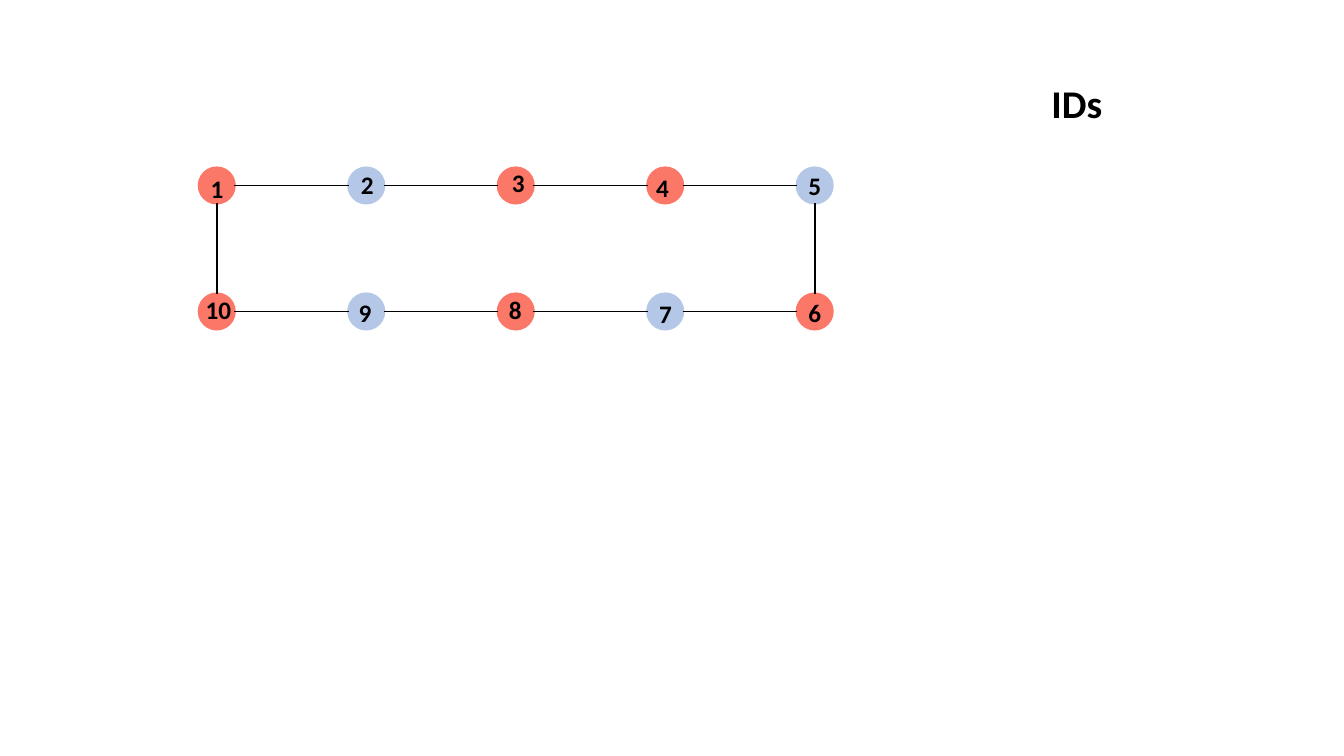
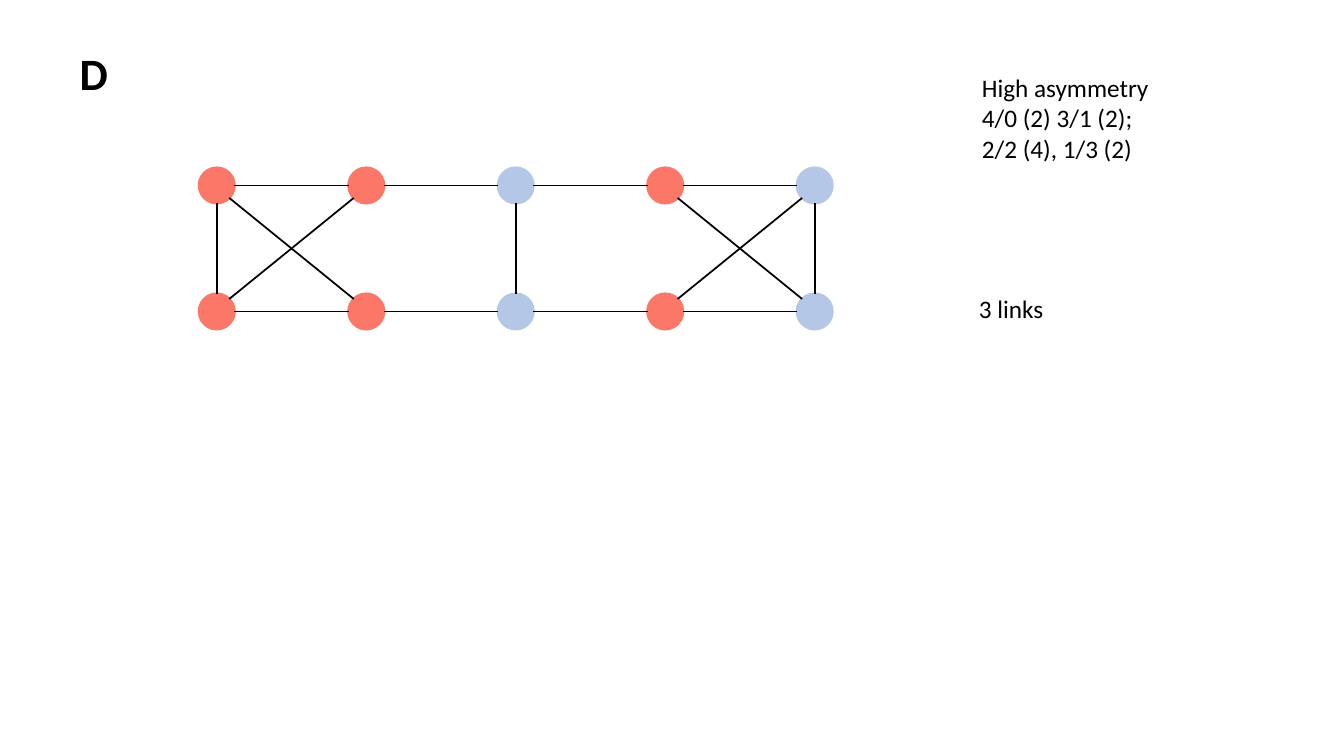
from math import hypot

from lxml import etree
from pptx import Presentation
from pptx.dml.color import RGBColor
from pptx.enum.shapes import MSO_CONNECTOR, MSO_SHAPE
from pptx.enum.text import MSO_AUTO_SIZE
from pptx.oxml.ns import qn
from pptx.util import Inches, Pt

STRAIGHT = MSO_CONNECTOR.STRAIGHT
ELLIPSE = MSO_SHAPE.OVAL
FIT_TEXT = MSO_AUTO_SIZE.SHAPE_TO_FIT_TEXT

RED = RGBColor(0xFB, 0x77, 0x68)
BLUE = RGBColor(0xB4, 0xC7, 0xE7)
BLACK = RGBColor(0, 0, 0)
FONT = "Calibri"

HEADING = {"size": Pt(28), "bold": True}
PANEL_LETTER = {"size": Pt(32), "bold": True}
NODE_ID = {"size": Pt(18), "bold": True}
NOTE = {"size": Pt(18), "bold": False}

# Nodes are numbered clockwise from the top left.
COLUMNS = 5
NODE_COUNT = 2 * COLUMNS
DIAMETER = 0.35
FIRST_X, LAST_X = 2.15, 8.08
ROW_Y = (1.84, 3.09)
RING = [(n, n % NODE_COUNT + 1) for n in range(1, NODE_COUNT + 1)]

# Labels: lines of text, (left, top, width, height), format
NETWORKS = [
    {
        "red": {1, 3, 4, 6, 8, 10},
        "cross_links": [],
        "labels": [
            (["1"], (1.99, 1.67, 0.33, 0.4), NODE_ID),
            (["2"], (3.48, 1.63, 0.33, 0.4), NODE_ID),
            (["3"], (4.98, 1.61, 0.33, 0.4), NODE_ID),
            (["4"], (6.41, 1.66, 0.33, 0.4), NODE_ID),
            (["5"], (7.92, 1.64, 0.33, 0.4), NODE_ID),
            (["6"], (7.92, 2.9, 0.33, 0.4), NODE_ID),
            (["7"], (6.44, 2.91, 0.33, 0.4), NODE_ID),
            (["8"], (4.95, 2.87, 0.33, 0.4), NODE_ID),
            (["9"], (3.46, 2.9, 0.33, 0.4), NODE_ID),
            (["10"], (1.94, 2.87, 0.46, 0.4), NODE_ID),
            (["IDs"], (10.33, 0.74, 0.71, 0.57), HEADING),
        ],
    },
    {
        "red": {1, 2, 4, 7, 9, 10},
        "cross_links": [(1, 9), (2, 10), (3, 8), (4, 6), (5, 7)],
        "labels": [
            (["High asymmetry", "4/0 (2) 3/1 (2);", "2/2 (4), 1/3 (2)"],
             (9.64, 0.67, 1.88, 1.01), NOTE),
            (["3 links"], (9.61, 2.86, 0.85, 0.4), NOTE),
            (["D"], (0.69, 0.4, 0.48, 0.64), PANEL_LETTER),
        ],
    },
]


def node_center(node):
    row = 0 if node <= COLUMNS else 1
    column = node - 1 if row == 0 else NODE_COUNT - node
    pitch = (LAST_X - FIRST_X) / (COLUMNS - 1)
    return FIRST_X + column * pitch, ROW_Y[row]


def add_node(slide, node, color):
    x, y = node_center(node)
    circle = slide.shapes.add_shape(
        ELLIPSE, Inches(x - DIAMETER / 2), Inches(y - DIAMETER / 2),
        Inches(DIAMETER), Inches(DIAMETER))
    circle.shadow.inherit = False
    circle.fill.solid()
    circle.fill.fore_color.rgb = color
    circle.line.color.rgb = color
    circle.line.width = Pt(2)


def add_link(slide, start, end):
    """Join two nodes between the nearest of the eight points on their rims."""
    (x1, y1), (x2, y2) = node_center(start), node_center(end)
    step_x = (x2 > x1) - (x2 < x1)
    step_y = (y2 > y1) - (y2 < y1)
    reach = DIAMETER / 2 / hypot(step_x, step_y)
    link = slide.shapes.add_connector(
        STRAIGHT,
        Inches(x1 + step_x * reach), Inches(y1 + step_y * reach),
        Inches(x2 - step_x * reach), Inches(y2 - step_y * reach))
    link.line.color.rgb = BLACK
    link.line.width = Pt(1.25)
    etree.SubElement(link._element.spPr, qn("a:effectLst"))


def add_label(slide, lines, box, style):
    frame = slide.shapes.add_textbox(*map(Inches, box)).text_frame
    frame.word_wrap = False
    frame.auto_size = FIT_TEXT
    frame.text = "\n".join(lines)
    for paragraph in frame.paragraphs:
        font = paragraph.runs[0].font
        for attribute, value in {"name": FONT, **style}.items():
            setattr(font, attribute, value)
        font.color.rgb = BLACK


def add_network(slide, network):
    for node in range(1, NODE_COUNT + 1):
        add_node(slide, node, RED if node in network["red"] else BLUE)
    for start, end in RING + network["cross_links"]:
        add_link(slide, start, end)
    for lines, box, style in network["labels"]:
        add_label(slide, lines, box, style)


def main():
    deck = Presentation()
    deck.slide_width, deck.slide_height = Inches(13.33), Inches(7.5)
    blank = deck.slide_layouts[6]
    for network in NETWORKS:
        add_network(deck.slides.add_slide(blank), network)
    deck.save("out.pptx")


if __name__ == "__main__":
    main()
